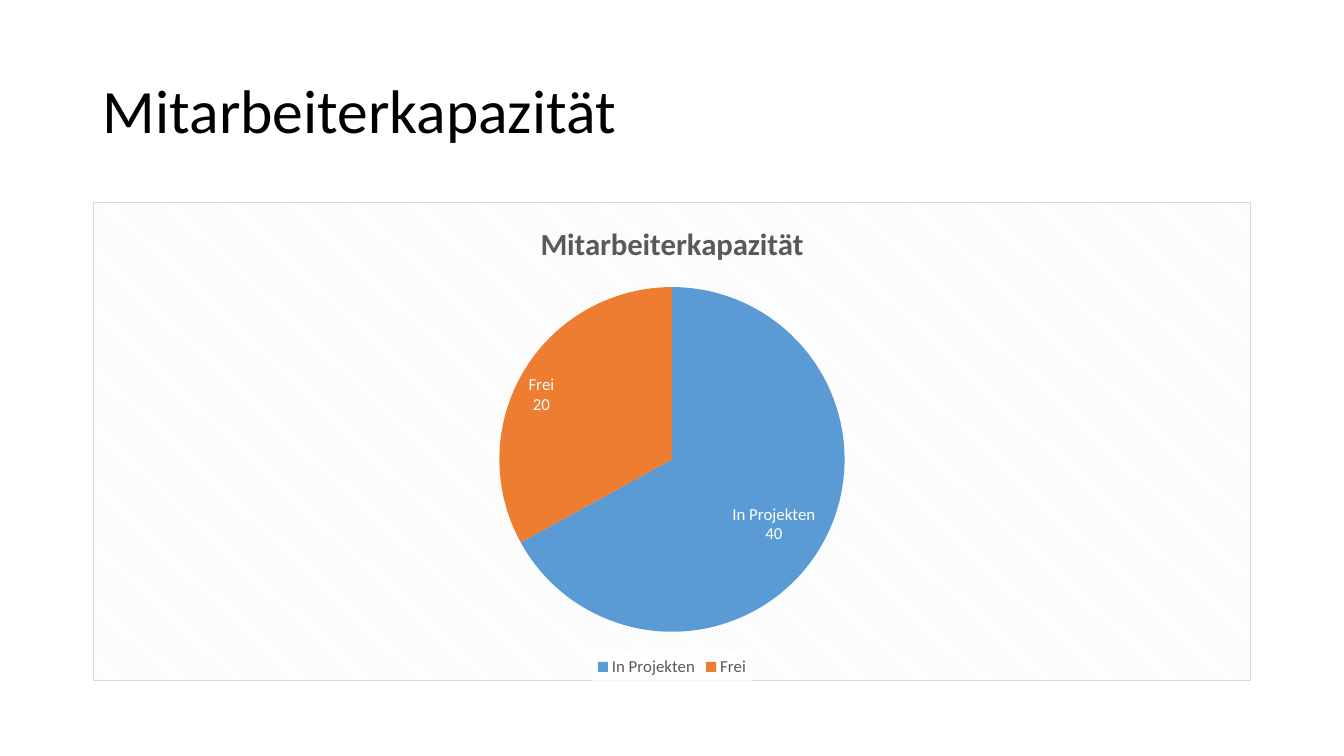
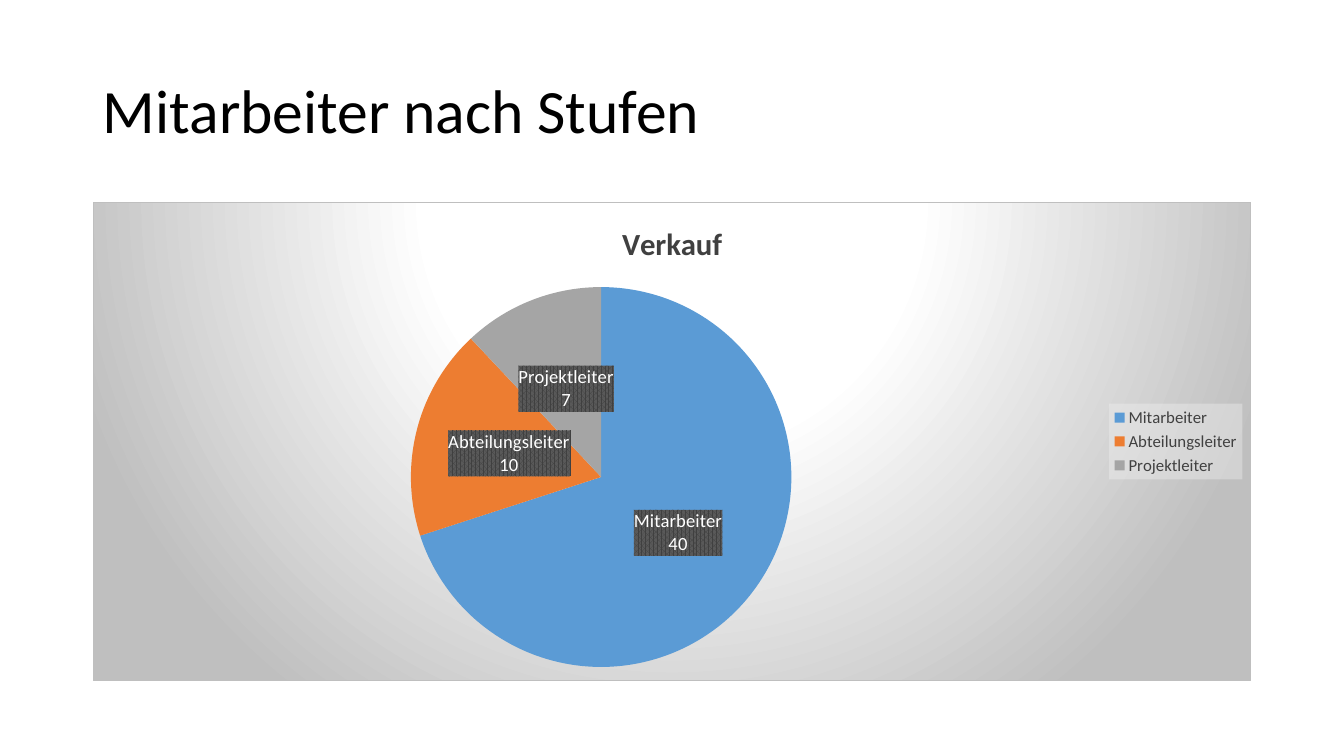
import dataclasses

import pptx
import pptx.chart.data
import pptx.dml.color
import pptx.enum.chart
import pptx.enum.text
import pptx.oxml
import pptx.oxml.ns
import pptx.util

LEGEND = pptx.enum.chart.XL_LEGEND_POSITION
LABEL = pptx.enum.chart.XL_LABEL_POSITION


@dataclasses.dataclass(frozen=True)
class Theme:
    width: float = 13.33
    height: float = 7.5
    margin: float = 0.92 / 13.33
    title_band: tuple = (0.4 / 7.5, 1.45 / 7.5)
    chart_band: tuple = (2 / 7.5, 4.76 / 7.5)
    font: str = "Calibri"
    black: str = "000000"
    white: str = "FFFFFF"
    slices: tuple = ("5B9BD5", "ED7D31", "A5A5A5")
    title_size: float = 44
    chart_title_size: float = 22
    legend_size: float = 12
    base_size: float = 10


THEME = Theme()


def solid(color, alpha=100):
    return (f'<a:solidFill><a:srgbClr val="{color}">'
            f'<a:alpha val="{alpha * 1000}"/></a:srgbClr></a:solidFill>')


def pattern(preset, front, back):
    return (f'<a:pattFill prst="{preset}"><a:fgClr><a:srgbClr val="{front}"/></a:fgClr>'
            f'<a:bgClr><a:srgbClr val="{back}"/></a:bgClr></a:pattFill>')


def radial(stops, left, top, right, bottom):
    """Circular gradient; stops and focus edges are in percent."""
    steps = "".join(f'<a:gs pos="{at * 1000}"><a:srgbClr val="{color}"/></a:gs>'
                    for at, color in stops)
    edges = zip("ltrb", (left, top, right, bottom))
    focus = " ".join(f'{edge}="{share * 1000}"' for edge, share in edges)
    return (f'<a:gradFill><a:gsLst>{steps}</a:gsLst><a:path path="circle">'
            f'<a:fillToRect {focus}/></a:path></a:gradFill>')


def outline(color, points=0.75):
    return f'<a:ln w="{pptx.util.Pt(points)}">{solid(color)}</a:ln>'


def paint(chart, successor, look):
    """Put fill and line in front of every chart element that matches successor."""
    namespaces = pptx.oxml.ns.nsdecls("c", "a")
    for element in chart.element.xpath(successor):
        element.addprevious(
            pptx.oxml.parse_xml(f"<c:spPr {namespaces}>{look}</c:spPr>"))


def style_font(font, size, color, bold=False):
    values = {"name": THEME.font, "size": pptx.util.Pt(size), "bold": bold}
    for attribute, value in values.items():
        setattr(font, attribute, value)
    font.color.rgb = pptx.dml.color.RGBColor.from_string(color)


def band(top, height):
    """Left, top, width and height of a full-width band between the margins."""
    shares = (THEME.margin, top, 1 - 2 * THEME.margin, height)
    sides = (THEME.width, THEME.height) * 2
    return [pptx.util.Inches(share * side) for share, side in zip(shares, sides)]


def add_title(slide, heading):
    title = slide.shapes.title
    places = zip(("left", "top", "width", "height"), band(*THEME.title_band))
    for attribute, value in places:
        setattr(title, attribute, value)
    frame = title.text_frame
    frame.text = heading
    frame.auto_size = pptx.enum.text.MSO_AUTO_SIZE.NONE
    frame.vertical_anchor = pptx.enum.text.MSO_ANCHOR.MIDDLE
    paragraph = frame.paragraphs[0]
    paragraph.alignment = pptx.enum.text.PP_ALIGN.LEFT
    paragraph.line_spacing = 0.9
    style_font(paragraph.runs[0].font, THEME.title_size, THEME.black)


def add_slice_labels(chart, staff, position, size, look):
    """Label each slice with its category and headcount; values are percentages."""
    series = chart.plots[0].series[0]
    labels = series.data_labels
    values = {"show_category_name": True, "show_value": False,
              "show_percentage": True, "position": position}
    for attribute, value in values.items():
        setattr(labels, attribute, value)
    style_font(labels.font, size, THEME.white)
    for index, (category, (_, headcount)) in enumerate(staff.items()):
        label = series.points[index].data_label
        label.text_frame.text = f"{category}\n{headcount}"
        for paragraph in label.text_frame.paragraphs:
            style_font(paragraph.runs[0].font, size, THEME.white)
        label.position = position
    if look:
        paint(chart, ".//c:dLbls/c:txPr | .//c:dLbl/c:dLblPos", look)


def add_legend(chart, position, color, look):
    chart.has_legend = True
    chart.legend.position = position
    chart.legend.include_in_layout = False
    style_font(chart.legend.font, THEME.legend_size, color)
    paint(chart, "c:chart/c:legend/c:txPr", look)


def add_pie(slide, caption, series_name, staff, text_color, area, legend, labels):
    data = pptx.chart.data.CategoryChartData()
    data.categories = list(staff)
    data.add_series(series_name, [percent for percent, _ in staff.values()])
    chart = slide.shapes.add_chart(
        pptx.enum.chart.XL_CHART_TYPE.PIE, *band(*THEME.chart_band), data).chart
    style_font(chart.font, THEME.base_size, THEME.black)
    paint(chart, "c:txPr", area)

    chart.has_title = True
    chart.chart_title.include_in_layout = False
    caption_frame = chart.chart_title.text_frame
    caption_frame.text = caption
    style_font(caption_frame.paragraphs[0].runs[0].font,
               THEME.chart_title_size, text_color, bold=True)

    pie = chart.plots[0]
    pie.vary_by_categories = True
    for index, color in enumerate(THEME.slices[:len(staff)]):
        fill = pie.series[0].points[index].format.fill
        fill.solid()
        fill.fore_color.rgb = pptx.dml.color.RGBColor.from_string(color)
    add_slice_labels(chart, staff, **labels)
    add_legend(chart, color=text_color, **legend)


def add_pie_slide(deck, heading, **pie):
    slide = deck.slides.add_slide(deck.slide_layouts.get_by_name("Title Only"))
    add_title(slide, heading)
    add_pie(slide, **pie)


def main():
    deck = pptx.Presentation()
    deck.slide_width = pptx.util.Inches(THEME.width)
    deck.slide_height = pptx.util.Inches(THEME.height)

    add_pie_slide(
        deck, "Mitarbeiterkapazität",
        caption="Mitarbeiterkapazität",
        series_name="Series 1",
        staff={"In Projekten": (67, 40), "Frei": (33, 20)},
        text_color="595959",
        area=pattern("dkDnDiag", "F2F2F2", THEME.white) + outline("D9D9D9"),
        legend={"position": LEGEND.BOTTOM, "look": solid(THEME.white, 78)},
        labels={"position": LABEL.INSIDE_END, "size": 12, "look": ""})

    spotlight = radial([(0, THEME.white), (39, THEME.white), (100, "BFBFBF")],
                       50, -80, 50, 180)
    add_pie_slide(
        deck, "Mitarbeiter nach Stufen",
        caption="Verkauf",
        series_name="Verkauf",
        staff={"Mitarbeiter": (70, 40), "Abteilungsleiter": (18, 10),
               "Projektleiter": (12, 7)},
        text_color="404040",
        area=spotlight + outline("BFBFBF"),
        legend={"position": LEGEND.RIGHT, "look": solid("F2F2F2", 39)},
        labels={"position": LABEL.CENTER, "size": 13.3,
                "look": pattern("pct75", "404040", "595959")})

    deck.save("out.pptx")


if __name__ == "__main__":
    main()
